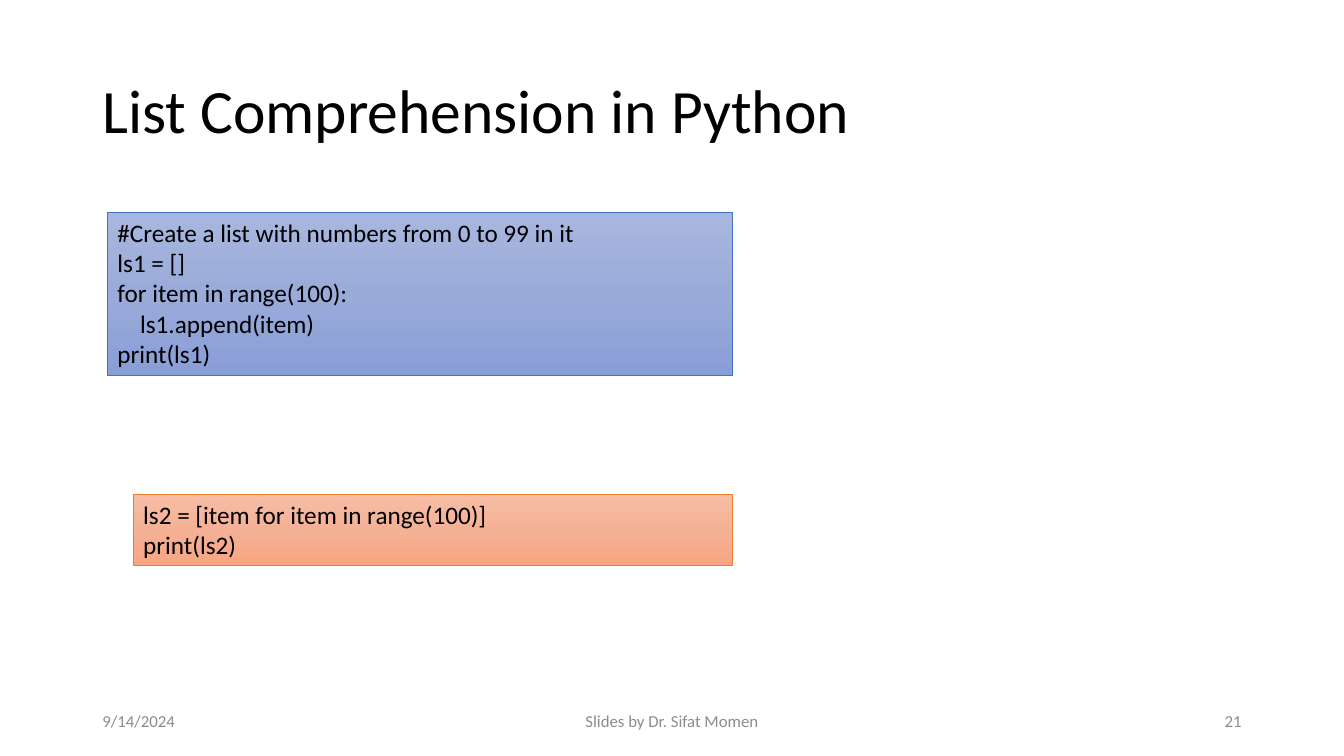
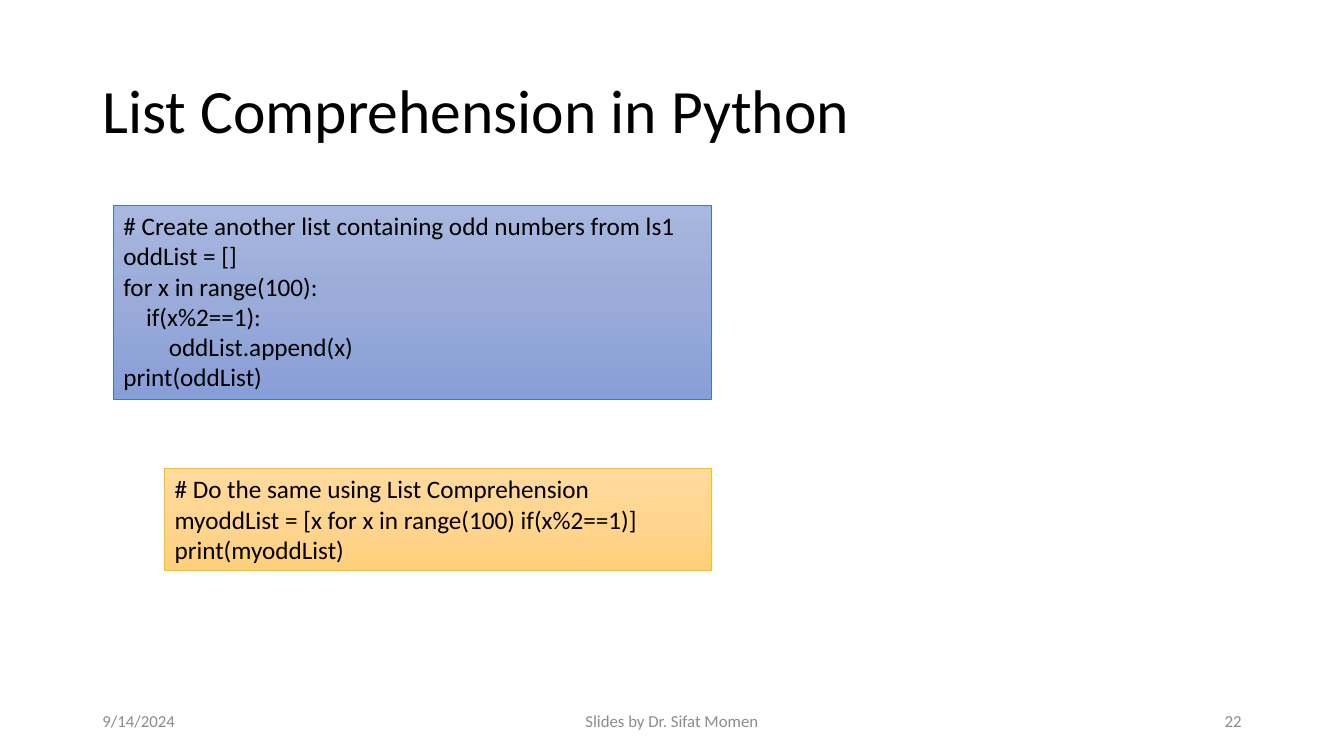
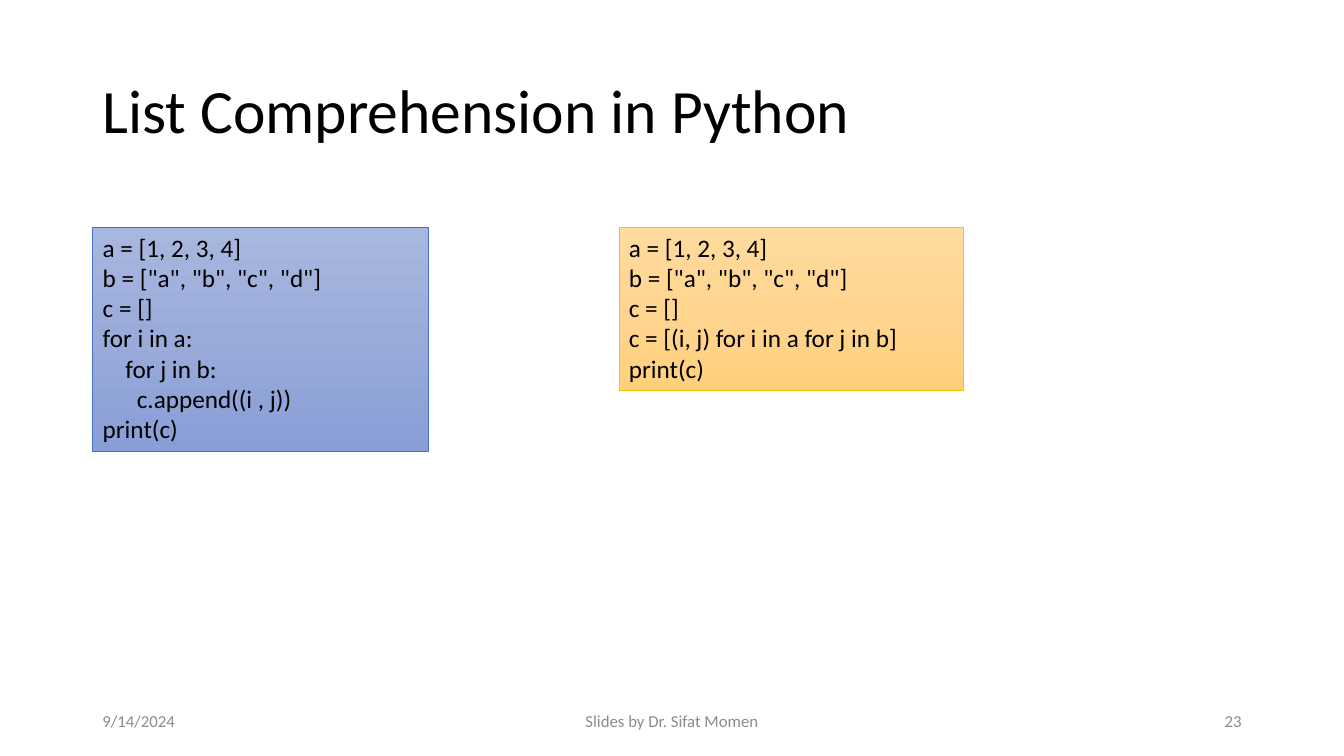
from copy import deepcopy

from pptx import Presentation
from pptx.dml.color import RGBColor
from pptx.enum.shapes import MSO_SHAPE
from pptx.enum.text import MSO_ANCHOR, MSO_AUTO_SIZE, PP_ALIGN
from pptx.util import Cm, Pt

BLACK = RGBColor(0x00, 0x00, 0x00)
GREY = RGBColor(0x8C, 0x8C, 0x8C)

# Each theme: outline, then the gradient from top to bottom
BLUE = (RGBColor(0x44, 0x72, 0xC4), (
    RGBColor(0xA8, 0xB7, 0xDF), RGBColor(0x9A, 0xAB, 0xD9), RGBColor(0x88, 0x9E, 0xD7)))
ORANGE = (RGBColor(0xED, 0x7D, 0x31), (
    RGBColor(0xF7, 0xBD, 0xA5), RGBColor(0xF5, 0xB1, 0x96), RGBColor(0xF8, 0xA5, 0x82)))
GOLD = (RGBColor(0xFF, 0xC0, 0x00), (
    RGBColor(0xFF, 0xDB, 0x9E), RGBColor(0xFF, 0xD5, 0x90), RGBColor(0xFF, 0xD0, 0x7C)))

FONT = "Calibri"
TITLE_FORMAT = {"name": FONT, "size": Pt(44)}
FOOTER_FORMAT = {"name": FONT, "size": Pt(12)}
CODE_FORMAT = {"name": FONT, "size": Pt(18)}

TITLE = "List Comprehension in Python"
DATE = "9/14/2024"
AUTHOR = "Slides by Dr. Sifat Momen"
FIRST_NUMBER = 21

SLIDE_WIDTH, SLIDE_HEIGHT = 33.87, 19.05
MARGIN = 2.33
CONTENT_WIDTH = SLIDE_WIDTH - 2 * MARGIN
TITLE_BOX = (MARGIN, 1.01, CONTENT_WIDTH, 3.68)
FOOTER_BOX = (MARGIN, 17.66, CONTENT_WIDTH, 1.02)
FOOTER_SIDE, FOOTER_CENTRE = 7.62, 11.43

LINE_HEIGHT, CODE_PADDING = 0.77, 0.26
INDENT_PER_CHARACTER = 0.143

# Each code box: theme, left, top, width, lines
SLIDES = [
    [
        (BLUE, 2.71, 5.35, 15.75, [
            "#Create a list with numbers from 0 to 99 in it",
            "ls1 = []",
            "for item in range(100):",
            "    ls1.append(item)",
            "print(ls1)",
        ]),
        (ORANGE, 3.36, 12.45, 15.1, [
            "ls2 = [item for item in range(100)]",
            "print(ls2)",
        ]),
    ],
    [
        (BLUE, 2.86, 5.18, 15.06, [
            "# Create another list containing odd numbers from ls1",
            "oddList = []",
            "for x in range(100):",
            "    if(x%2==1):",
            "        oddList.append(x)",
            "print(oddList)",
        ]),
        (GOLD, 4.15, 11.81, 13.77, [
            "# Do the same using List Comprehension",
            "myoddList = [x for x in range(100) if(x%2==1)]",
            "print(myoddList)",
        ]),
    ],
    [
        (BLUE, 2.34, 5.72, 8.46, [
            "a = [1, 2, 3, 4]",
            'b = ["a", "b", "c", "d"]',
            "c = []",
            "for i in a:",
            "    for j in b:",
            "      c.append((i , j))",
            "print(c)",
        ]),
        (GOLD, 15.6, 5.72, 8.69, [
            "a = [1, 2, 3, 4]",
            'b = ["a", "b", "c", "d"]',
            "c = []",
            "c = [(i, j) for i in a for j in b]",
            "print(c)",
        ]),
    ],
]


def format_paragraph(paragraph, font_format, colour, alignment=PP_ALIGN.LEFT):
    paragraph.alignment = alignment
    for name, value in font_format.items():
        setattr(paragraph.font, name, value)
    paragraph.font.color.rgb = colour


def place_title(slide, box):
    title = slide.shapes.title
    for name, length in zip(("left", "top", "width", "height"), box):
        setattr(title, name, Cm(length))
    title.text_frame.text = TITLE
    title.text_frame.auto_size = MSO_AUTO_SIZE.NONE
    title.text_frame.vertical_anchor = MSO_ANCHOR.MIDDLE
    paragraph = title.text_frame.paragraphs[0]
    paragraph.line_spacing = 0.9
    format_paragraph(paragraph, TITLE_FORMAT, BLACK)


def add_footer(slide, box, number):
    left, top, width, height = box
    parts = [
        (DATE, left, FOOTER_SIDE, PP_ALIGN.LEFT),
        (AUTHOR, left + (width - FOOTER_CENTRE) / 2, FOOTER_CENTRE, PP_ALIGN.CENTER),
        (str(number), left + width - FOOTER_SIDE, FOOTER_SIDE, PP_ALIGN.RIGHT),
    ]
    for text, part_left, part_width, alignment in parts:
        shape = slide.shapes.add_textbox(Cm(part_left), Cm(top), Cm(part_width), Cm(height))
        frame = shape.text_frame
        frame.word_wrap = True
        frame.vertical_anchor = MSO_ANCHOR.MIDDLE
        frame.text = text
        format_paragraph(frame.paragraphs[0], FOOTER_FORMAT, GREY, alignment)


def fill_with_gradient(shape, colours):
    """Fill the shape from top to bottom with three evenly spaced colours."""
    shape.fill.gradient()
    shape.fill.gradient_angle = 270
    first_stop = shape.fill._fill._gradFill.gsLst[0]
    first_stop.addnext(deepcopy(first_stop))
    for index, (stop, colour) in enumerate(zip(shape.fill.gradient_stops, colours)):
        stop.position = index / (len(colours) - 1)
        stop.color.rgb = colour


def add_code_box(slide, theme, left, top, width, lines):
    outline, colours = theme
    height = LINE_HEIGHT * len(lines) + CODE_PADDING
    shape = slide.shapes.add_shape(
        MSO_SHAPE.RECTANGLE, Cm(left), Cm(top), Cm(width), Cm(height))
    shape.shadow.inherit = False
    fill_with_gradient(shape, colours)
    shape.line.color.rgb = outline
    shape.line.width = Pt(0.5)
    frame = shape.text_frame
    frame.word_wrap = True
    frame.auto_size = MSO_AUTO_SIZE.SHAPE_TO_FIT_TEXT
    frame.vertical_anchor = MSO_ANCHOR.TOP
    frame.text = "\n".join(line.lstrip() for line in lines)
    for paragraph, line in zip(frame.paragraphs, lines):
        format_paragraph(paragraph, CODE_FORMAT, BLACK)
        indent = len(line) - len(line.lstrip())
        if indent:
            properties = paragraph._p.get_or_add_pPr()
            properties.set("marL", str(Cm(indent * INDENT_PER_CHARACTER)))


def add_code_slide(presentation, number, code_boxes):
    slide = presentation.slides.add_slide(presentation.slide_layouts[5])
    place_title(slide, TITLE_BOX)
    add_footer(slide, FOOTER_BOX, number)
    for code_box in code_boxes:
        add_code_box(slide, *code_box)


def main():
    presentation = Presentation()
    presentation.slide_width = Cm(SLIDE_WIDTH)
    presentation.slide_height = Cm(SLIDE_HEIGHT)
    for number, code_boxes in enumerate(SLIDES, FIRST_NUMBER):
        add_code_slide(presentation, number, code_boxes)
    presentation.save("out.pptx")


if __name__ == "__main__":
    main()
